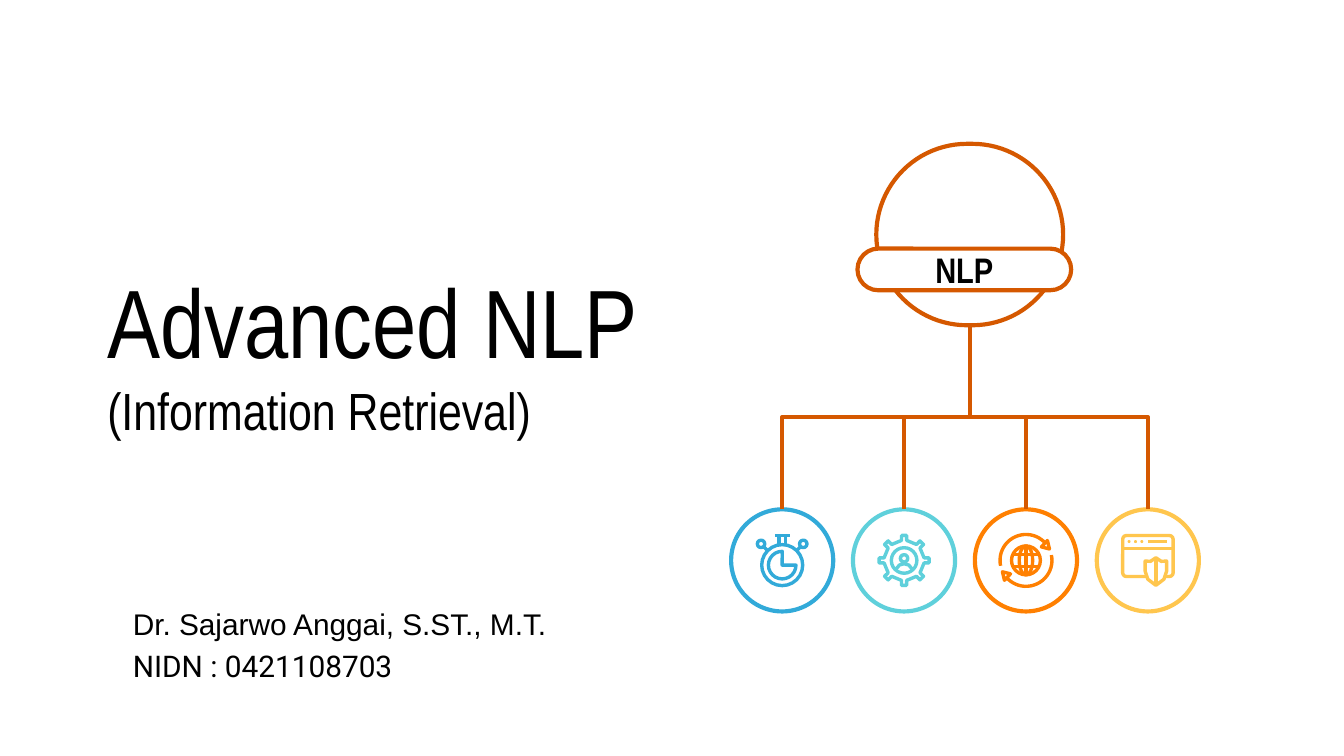
from math import cos, pi, radians, sin

from lxml import etree
from pptx import Presentation, util as u
from pptx.dml.color import RGBColor
from pptx.enum import shapes, text
from pptx.oxml import ns

BLACK = RGBColor(0x00, 0x00, 0x00)
WHITE = RGBColor(0xFF, 0xFF, 0xFF)
RUST = RGBColor(0xD5, 0x58, 0x00)
BLUE = RGBColor(0x32, 0xAA, 0xD9)
TEAL = RGBColor(0x5F, 0xD0, 0xDB)
ORANGE = RGBColor(0xFF, 0x80, 0x01)
YELLOW = RGBColor(0xFF, 0xC6, 0x4E)

# Square grid: 100 columns across the slide, 56.25 rows down
CELL = u.Inches(0.1)
COLUMNS, ROWS = 100, 56.25
TREE_COLUMN, TREE_BOTTOM = 72.15, 24.2
FIRST_COLUMN, COLUMN_STEP = 58.2, 9.07
LEAF_ROW, LEAF_SIZE = 41.7, 7.6
BRANCH_WEIGHT, ICON_WEIGHT = 2.25, 1.8

PRESET = shapes.MSO_SHAPE


def cells(count):
    return u.Emu(round(count * CELL))


def style(shape, color, weight, fill=None):
    shape.shadow.inherit = False
    if fill is None:
        shape.fill.background()
    else:
        shape.fill.solid()
        shape.fill.fore_color.rgb = fill
    shape.line.color.rgb = color
    shape.line.width = u.Pt(weight)


def add_centred(slide, preset, center, size, color, weight=ICON_WEIGHT, fill=None):
    (x, y), (width, height) = center, size
    shape = slide.shapes.add_shape(preset, cells(x - width / 2), cells(y - height / 2),
                                   cells(width), cells(height))
    style(shape, color, weight, fill)
    return shape


def add_pill(slide, center, size):
    pill = add_centred(slide, PRESET.ROUNDED_RECTANGLE, center, size, RUST, BRANCH_WEIGHT, WHITE)
    pill.adjustments[0] = 0.5
    return pill


def add_connector(slide, kind, start, end, color, weight):
    connector = slide.shapes.add_connector(kind, *map(cells, (*start, *end)))
    connector.line.color.rgb = color
    connector.line.width = u.Pt(weight)
    etree.SubElement(connector.element.spPr, ns.qn("a:effectLst"))
    return connector


def add_branch(slide, start, end):
    """Elbow that leaves downwards: a sideways elbow turned by a quarter."""
    (x1, y1), (x2, y2) = start, end
    center_x, center_y = (x1 + x2) / 2, (y1 + y2) / 2
    half_width, half_height = (y2 - y1) / 2, abs(x2 - x1) / 2
    side = -1 if x2 < x1 else 1
    branch = add_connector(
        slide, shapes.MSO_CONNECTOR.ELBOW,
        (center_x + side * half_width, center_y - half_height),
        (center_x - side * half_width, center_y + half_height), RUST, BRANCH_WEIGHT)
    branch.element.spPr.xfrm.rot = 90 if side < 0 else 270


def add_run(paragraph, words, size, font, bold=False):
    run = paragraph.add_run()
    run.text = words
    run.font.size, run.font.name, run.font.bold = u.Pt(size), font, bold
    run.font.color.rgb = BLACK


def set_frame(frame, anchor):
    frame.word_wrap = True
    frame.vertical_anchor = anchor
    frame.margin_left = frame.margin_right = cells(1)
    frame.margin_top = frame.margin_bottom = cells(1)
    return frame.paragraphs[0]


def add_text(slide, box, anchor, lines):
    """Text box with one paragraph; lines hold (words, size, font)."""
    frame = slide.shapes.add_textbox(*map(cells, box)).text_frame
    paragraph = set_frame(frame, anchor)
    for index, line in enumerate(lines):
        if index:
            paragraph.add_line_break()
        add_run(paragraph, *line)
    return paragraph


class Icon:
    """Line drawing in one colour, measured in cells from its centre."""

    def __init__(self, slide, center, color):
        self.slide, self.center, self.color = slide, center, color

    def place(self, point):
        return self.center[0] + point[0], self.center[1] + point[1]

    def outline(self, preset, point, width, height, fill=None):
        return add_centred(self.slide, preset, self.place(point), (width, height),
                           self.color, fill=fill)

    def dot(self, point, size):
        dot = self.outline(PRESET.OVAL, point, size, size, self.color)
        dot.line.fill.background()

    def line(self, start, end):
        add_connector(self.slide, shapes.MSO_CONNECTOR.STRAIGHT, self.place(start),
                      self.place(end), self.color, ICON_WEIGHT)

    def trace(self, points, close=True, fill=None):
        first, *others = [tuple(map(cells, self.place(point))) for point in points]
        builder = self.slide.shapes.build_freeform(*first)
        builder.add_line_segments(others, close=close)
        style(builder.convert_to_shape(), self.color, ICON_WEIGHT, fill)


def draw_stopwatch(icon):
    icon.outline(PRESET.OVAL, (0, 0.35), 3.05, 3.05)
    icon.outline(PRESET.PIE, (0, 0.35), 2.05, 2.05)
    icon.line((-0.55, -1.85), (0.55, -1.85))
    for side in (-1, 1):
        icon.line((side * 0.25, -1.85), (side * 0.25, -1.2))
        icon.line((side * 1.35, -1), (side * 1.05, -0.7))
        icon.outline(PRESET.OVAL, (side * 1.57, -1.23), 0.55, 0.55)


def draw_gear(icon):
    teeth, tip, root = 8, 1.87, 1.5
    profile = ((-0.16, root), (-0.13, tip), (0.13, tip), (0.16, root))
    angles = [((tooth + shift) * 2 * pi / teeth, radius)
              for tooth in range(teeth) for shift, radius in profile]
    icon.trace([(radius * cos(angle), radius * sin(angle)) for angle, radius in angles])
    icon.outline(PRESET.OVAL, (0, 0), 1.9, 1.9)
    icon.outline(PRESET.OVAL, (0, -0.15), 0.55, 0.55)
    icon.trace([(-0.6, 0.65), (-0.35, 0.35), (0, 0.25), (0.35, 0.35), (0.6, 0.65)], close=False)


def draw_globe(icon):
    radius = 1.93
    arc = [(radius * cos(radians(angle)), radius * sin(radians(angle)))
           for angle in range(168, 316, 7)]
    arrow = [(1.15, -1), (1.6, -1.48), (1.75, -0.85)]
    for turn in (1, -1):
        icon.trace([(turn * x, turn * y) for x, y in arc], close=False)
        icon.trace([(turn * x, turn * y) for x, y in arrow])
        icon.line((-1, turn * 0.43), (1, turn * 0.43))
    for width in (2.15, 1):
        icon.outline(PRESET.OVAL, (0, 0), width, 2.15)
    icon.line((0, -1.07), (0, 1.07))


def draw_browser(icon):
    window = icon.outline(PRESET.ROUNDED_RECTANGLE, (0, -0.33), 3.75, 3.05)
    window.adjustments[0] = 0.09
    icon.line((-1.87, -0.9), (1.87, -0.9))
    for column in (-1.4, -0.92, -0.45):
        icon.dot((column, -1.4), 0.22)
    icon.line((0, -1.4), (1.45, -1.4))
    middle, top, bottom = 0.6, -0.2, 1.85
    edge = [(0.4, 0.07), (0.8, 0.05), (0.8, 0.8), (0.6, 1.4)]
    icon.trace([(middle, top), *[(middle + x, y) for x, y in edge], (middle, bottom),
                *[(middle - x, y) for x, y in reversed(edge)]], fill=WHITE)
    icon.line((middle, top), (middle, bottom))


def add_tree(slide):
    leaves = ((BLUE, draw_stopwatch), (TEAL, draw_gear),
              (ORANGE, draw_globe), (YELLOW, draw_browser))
    centers = [(FIRST_COLUMN + index * COLUMN_STEP, LEAF_ROW) for index in range(len(leaves))]
    for center, (color, _) in zip(centers, leaves):
        add_centred(slide, PRESET.OVAL, center, (LEAF_SIZE, LEAF_SIZE), color,
                    BRANCH_WEIGHT, WHITE)
    add_pill(slide, (TREE_COLUMN, 17.45), (13.9, 13.5))
    label = add_pill(slide, (71.75, 20.05), (15.9, 3.1))
    paragraph = set_frame(label.text_frame, text.MSO_ANCHOR.MIDDLE)
    paragraph.alignment = text.PP_ALIGN.CENTER
    add_run(paragraph, "NLP", 19, "Arial Narrow", bold=True)
    for column, row in centers:
        add_branch(slide, (TREE_COLUMN, TREE_BOTTOM), (column, row - LEAF_SIZE / 2))
    for center, (color, draw) in zip(centers, leaves):
        draw(Icon(slide, center, color))


def main():
    presentation = Presentation()
    presentation.slide_width, presentation.slide_height = cells(COLUMNS), cells(ROWS)
    slide = presentation.slides.add_slide(presentation.slide_layouts[6])
    author = add_text(slide, (8.9, 43.7, 39.4, 7.6), text.MSO_ANCHOR.TOP,
                      [("Dr. Sajarwo Anggai, S.ST., M.T.", 16, "Arial"),
                       ("NIDN : 0421108703", 16, "Roboto")])
    author.line_spacing = 1.15
    add_tree(slide)
    add_text(slide, (7, 17.8, 45, 16.7), text.MSO_ANCHOR.MIDDLE,
             [("Advanced NLP", 52, "Arial Narrow"),
              ("(Information Retrieval)", 28, "Arial Narrow")])
    presentation.save("out.pptx")


if __name__ == "__main__":
    main()
